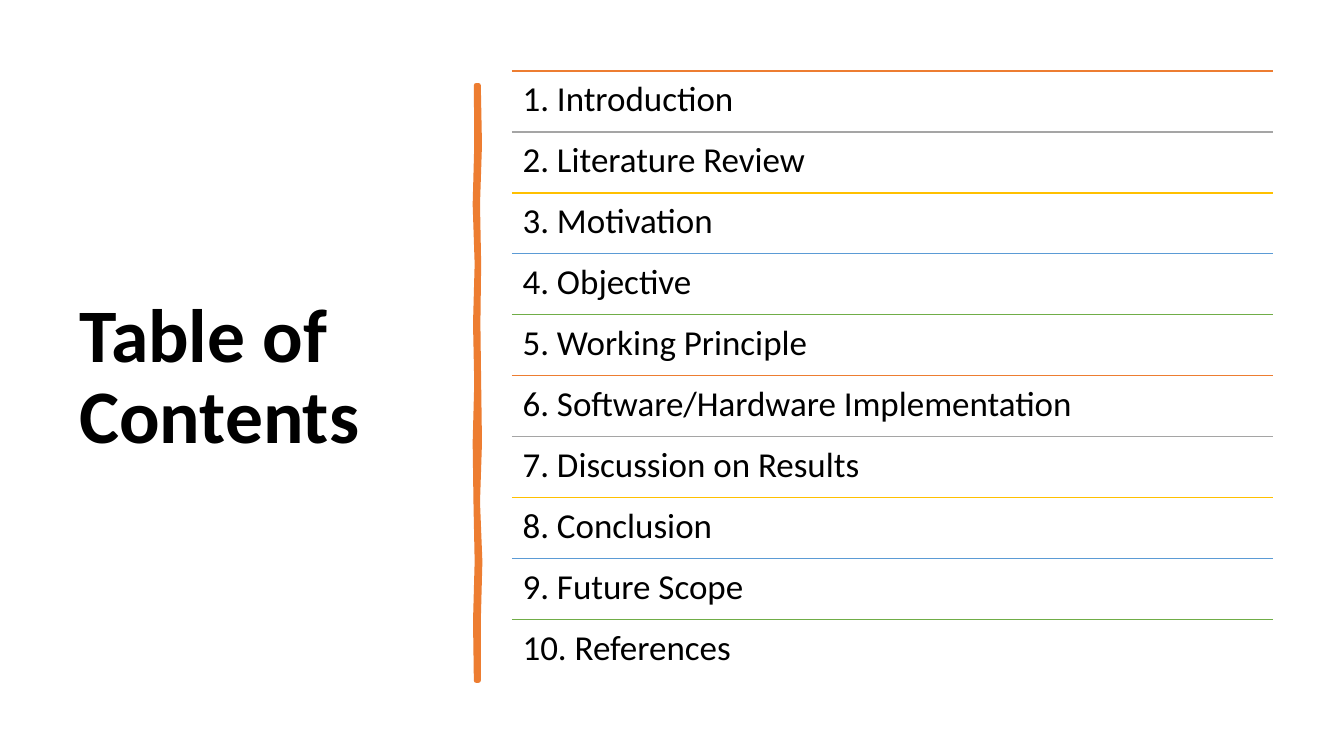
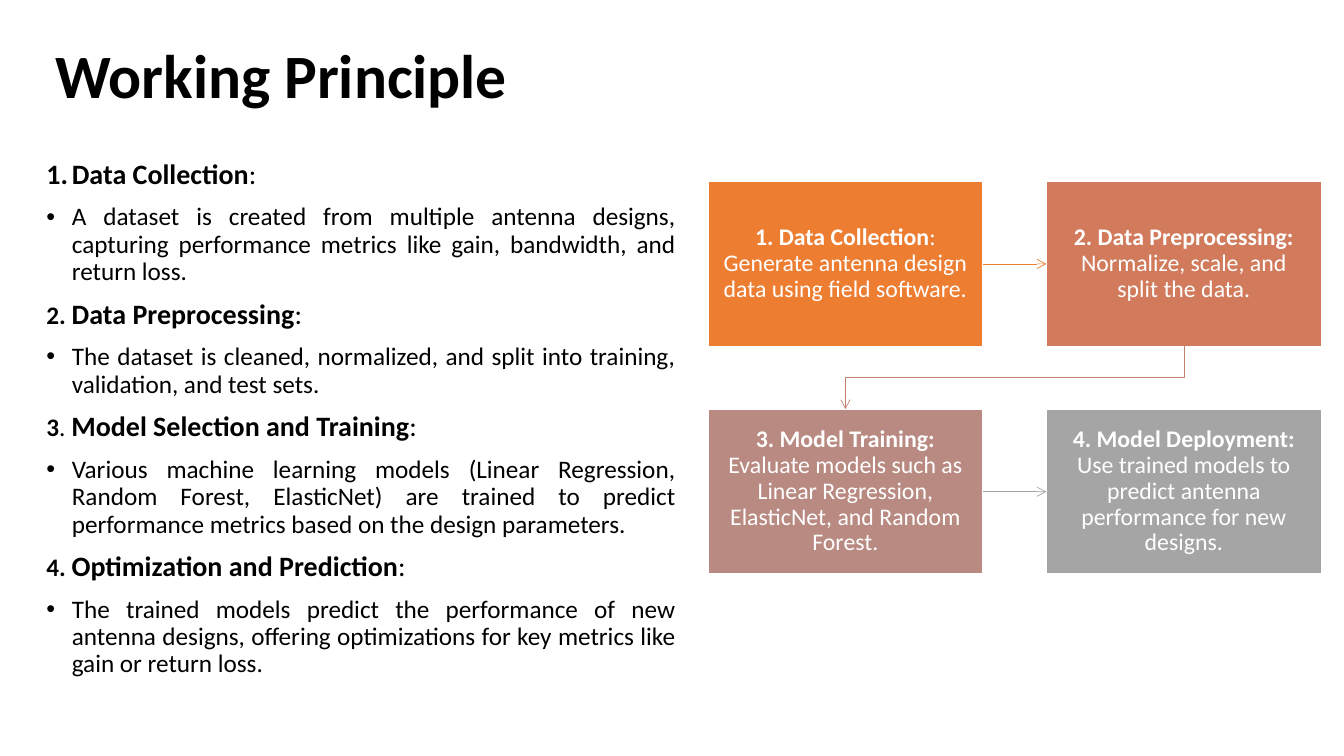
from lxml import etree
from pptx import Presentation
from pptx.dml.color import RGBColor
from pptx.enum.shapes import MSO_CONNECTOR, MSO_SHAPE
from pptx.enum.text import MSO_ANCHOR, MSO_AUTO_SIZE, PP_ALIGN
from pptx.oxml.ns import qn
from pptx.util import Cm, Pt

STRAIGHT, ELBOW = MSO_CONNECTOR.STRAIGHT, MSO_CONNECTOR.ELBOW
RECTANGLE = MSO_SHAPE.RECTANGLE
TOP, MIDDLE = MSO_ANCHOR.TOP, MSO_ANCHOR.MIDDLE
LEFT, CENTER, JUSTIFY = PP_ALIGN.LEFT, PP_ALIGN.CENTER, PP_ALIGN.JUSTIFY
NO_FIT = MSO_AUTO_SIZE.NONE

FONT = "Calibri"
COLORS = {
    "text": "000000", "white": "FFFFFF", "orange": "ED7D31", "gray": "A5A5A5",
    "gold": "FFC000", "blue": "5B9BD5", "green": "70AD47",
    "coral": "D17B5C", "rose": "B98A82", "clay": "C48170",
}
TITLE_ONLY, TITLE_AND_BODY = 5, 1
SIDE_TOP, SIDE_LEFT, SIDE_BOTTOM, SIDE_RIGHT = range(4)

CONTENTS = [
    "Introduction", "Literature Review", "Motivation", "Objective",
    "Working Principle", "Software/Hardware Implementation",
    "Discussion on Results", "Conclusion", "Future Scope", "References",
]
RULE_COLORS = ["orange", "gray", "gold", "blue", "green"]

# Sideways wobble of the brush stroke's edges, in cm, from top to bottom
STROKE_RIGHT = [0.03, 0.06, 0.01, 0.04, 0.02, 0.04, 0.06, 0.01, 0.07, 0.03, 0.03]
STROKE_LEFT = [-0.03, -0.02, -0.06, -0.01, -0.05, -0.02, -0.06, -0.04, -0.01, -0.05, -0.03]

# Heading number as (text, bold) spans; none means automatic numbering
PRINCIPLES = [
    ([], "Data Collection",
     "A dataset is created from multiple antenna designs, capturing "
     "performance metrics like gain, bandwidth, and return loss."),
    ([("2. ", True)], "Data Preprocessing",
     "The dataset is cleaned, normalized, and split into training, "
     "validation, and test sets."),
    ([("3", True), (". ", False)], "Model Selection and Training",
     "Various machine learning models (Linear Regression, Random Forest, "
     "ElasticNet) are trained to predict performance metrics based on the "
     "design parameters."),
    ([("4. ", True)], "Optimization and Prediction",
     "The trained models predict the performance of new antenna designs, "
     "offering optimizations for key metrics like gain or return loss."),
]
STEPS = [
    ("1. Data Collection", ": Generate antenna design data using field software.", "orange"),
    ("2. Data Preprocessing: ", "Normalize, scale, and split the data.", "coral"),
    ("3. Model Training: ",
     "Evaluate models such as Linear Regression, ElasticNet, and Random Forest.", "rose"),
    ("4. Model Deployment: ",
     "Use trained models to predict antenna performance for new designs.", "gray"),
]


def rgb(name):
    return RGBColor.from_string(COLORS[name])


def write(para, text, size=18, bold=False, color="text"):
    """Add one formatted span to a paragraph."""
    span = para.add_run()
    span.text = text
    span.font.name = FONT
    span.font.size = Pt(size)
    span.font.bold = bold
    span.font.color.rgb = rgb(color)


def layout_paragraph(para, align=LEFT, before=0):
    para.alignment = align
    para.line_spacing = 0.9
    para.space_before = Pt(before)
    para.space_after = Pt(0)


def set_bullet(para, kind, hanging=0, **attributes):
    properties = para._p.get_or_add_pPr()
    properties.set("marL", str(Cm(hanging)))
    properties.set("indent", str(-Cm(hanging)))
    if kind == "buChar":
        etree.SubElement(properties, qn("a:buFont"), typeface="Arial")
    elif kind == "buAutoNum":
        etree.SubElement(properties, qn("a:buFont"), typeface="+mj-lt")
    etree.SubElement(properties, qn("a:" + kind), **attributes)


class Deck:
    """Holds the presentation, its style and the current slide."""

    def __init__(self):
        self.presentation = Presentation()
        self.presentation.slide_width = Cm(33.87)
        self.presentation.slide_height = Cm(19.05)
        self.page = None

    def add_page(self, layout, title, area, size):
        layouts = self.presentation.slide_layouts
        self.page = self.presentation.slides.add_slide(layouts[layout])
        frame = self.prepare(self.page.shapes.title, area, MIDDLE)
        para = frame.paragraphs[0]
        layout_paragraph(para)
        write(para, title, size=size, bold=True)

    def prepare(self, box, area, anchor=TOP, margins=(0.25, 0.13)):
        """Place a shape that holds text and return its text frame."""
        box.left, box.top, box.width, box.height = map(Cm, area)
        frame = box.text_frame
        frame.word_wrap = True
        frame.auto_size = NO_FIT
        frame.vertical_anchor = anchor
        frame.margin_left = frame.margin_right = Cm(margins[0])
        frame.margin_top = frame.margin_bottom = Cm(margins[1])
        return frame

    def add_text(self, text, area, size):
        box = self.page.shapes.add_textbox(*map(Cm, area))
        para = self.prepare(box, area, margins=(0.27, 0.27)).paragraphs[0]
        layout_paragraph(para)
        write(para, text, size=size)

    def add_line(self, start, end, color, width=1.25, kind=STRAIGHT, arrow=False):
        line = self.page.shapes.add_connector(kind, *map(Cm, start + end))
        line.line.color.rgb = rgb(color)
        line.line.width = Pt(width)
        if arrow:
            etree.SubElement(line.line._get_or_add_ln(), qn("a:tailEnd"), type="arrow")
        etree.SubElement(line.element.spPr, qn("a:effectLst"))
        return line

    def add_elbow_down(self, start, end, color):
        """Run down, left and down again: a bent connector turned by 90°."""
        center_x, center_y = (start[0] + end[0]) / 2, (start[1] + end[1]) / 2
        half_w, half_h = (end[1] - start[1]) / 2, (start[0] - end[0]) / 2
        line = self.add_line((center_x - half_w, center_y - half_h),
                             (center_x + half_w, center_y + half_h),
                             color, width=0.5, kind=ELBOW, arrow=True)
        line.element.spPr.xfrm.set("rot", str(90 * 60000))

    def add_stroke(self, center_x, top, step, color):
        right = [(Cm(center_x + shift), Cm(top + step * index))
                 for index, shift in enumerate(STROKE_RIGHT)]
        left = [(Cm(center_x + shift), Cm(top + step * index))
                for index, shift in enumerate(STROKE_LEFT)]
        outline = right + left[::-1]
        builder = self.page.shapes.build_freeform(*outline[0])
        builder.add_line_segments(outline[1:], close=True)
        stroke = builder.convert_to_shape()
        stroke.shadow.inherit = False
        stroke.fill.solid()
        stroke.fill.fore_color.rgb = rgb(color)
        stroke.line.color.rgb = rgb(color)
        stroke.line.width = Pt(3.25)
        etree.SubElement(stroke.line._get_or_add_ln(), qn("a:round"))

    def add_step(self, heading, detail, color, area):
        box = self.page.shapes.add_shape(RECTANGLE, *map(Cm, area))
        box.shadow.inherit = False
        box.fill.solid()
        box.fill.fore_color.rgb = rgb(color)
        box.line.color.rgb = rgb("white")
        box.line.width = Pt(1)
        para = self.prepare(box, area, MIDDLE, (0.34, 0.36)).paragraphs[0]
        layout_paragraph(para, CENTER)
        write(para, heading, size=17, bold=True, color="white")
        write(para, detail, size=17, color="white")
        return box

    def add_principles(self, items, area):
        frame = self.prepare(self.page.placeholders[1], area)
        for index, (number, heading, detail) in enumerate(items):
            para = frame.add_paragraph() if index else frame.paragraphs[0]
            layout_paragraph(para, JUSTIFY, before=10 if index else 0)
            if number:
                set_bullet(para, "buNone")
            else:
                set_bullet(para, "buAutoNum", 0.64, type="arabicPeriod")
            for text, bold in number:
                write(para, text, bold=bold)
            write(para, heading, size=20, bold=True)
            write(para, ":", size=20)

            para = frame.add_paragraph()
            layout_paragraph(para, JUSTIFY, before=10)
            set_bullet(para, "buChar", 0.64, char="•")
            write(para, detail)


def build_contents(deck):
    deck.add_page(TITLE_ONLY, "Table of Contents", (1.75, 1.78, 9.5, 15.52), size=54)
    deck.add_stroke(12.03, 2.15, 1.5, "orange")
    left, top, width = 12.9, 1.78, 19.18
    row_height = 15.37 / len(CONTENTS)
    for index, entry in enumerate(CONTENTS):
        row_top = top + index * row_height
        deck.add_line((left, row_top), (left + width, row_top),
                      RULE_COLORS[index % len(RULE_COLORS)])
        deck.add_text(f"{index + 1}. {entry}", (left, row_top, width, row_height), size=25)


def build_working_principle(deck):
    deck.add_page(TITLE_AND_BODY, "Working Principle", (1.14, 0.48, 17.27, 3), size=44)
    deck.add_principles(PRINCIPLES, (0.92, 3.9, 16.36, 14.7))

    # Process steps in a two by two grid
    left, top, width, height = 17.84, 4.57, 6.93, 4.16
    pitch_x, pitch_y = 8.53, 5.74
    boxes = []
    for index, step in enumerate(STEPS):
        row, column = divmod(index, 2)
        area = (left + column * pitch_x, top + row * pitch_y, width, height)
        boxes.append(deck.add_step(*step, area))

    # Arrows from each step to the next
    for first, color in ((0, "orange"), (2, "gray")):
        arrow = deck.add_line((0, 0), (1, 1), color, width=0.5, arrow=True)
        arrow.begin_connect(boxes[first], SIDE_RIGHT)
        arrow.end_connect(boxes[first + 1], SIDE_LEFT)
    deck.add_elbow_down((left + pitch_x + width / 2, top + height),
                        (left + width / 2, top + pitch_y), "clay")


def main():
    deck = Deck()
    build_contents(deck)
    build_working_principle(deck)
    deck.presentation.save("out.pptx")


if __name__ == "__main__":
    main()
